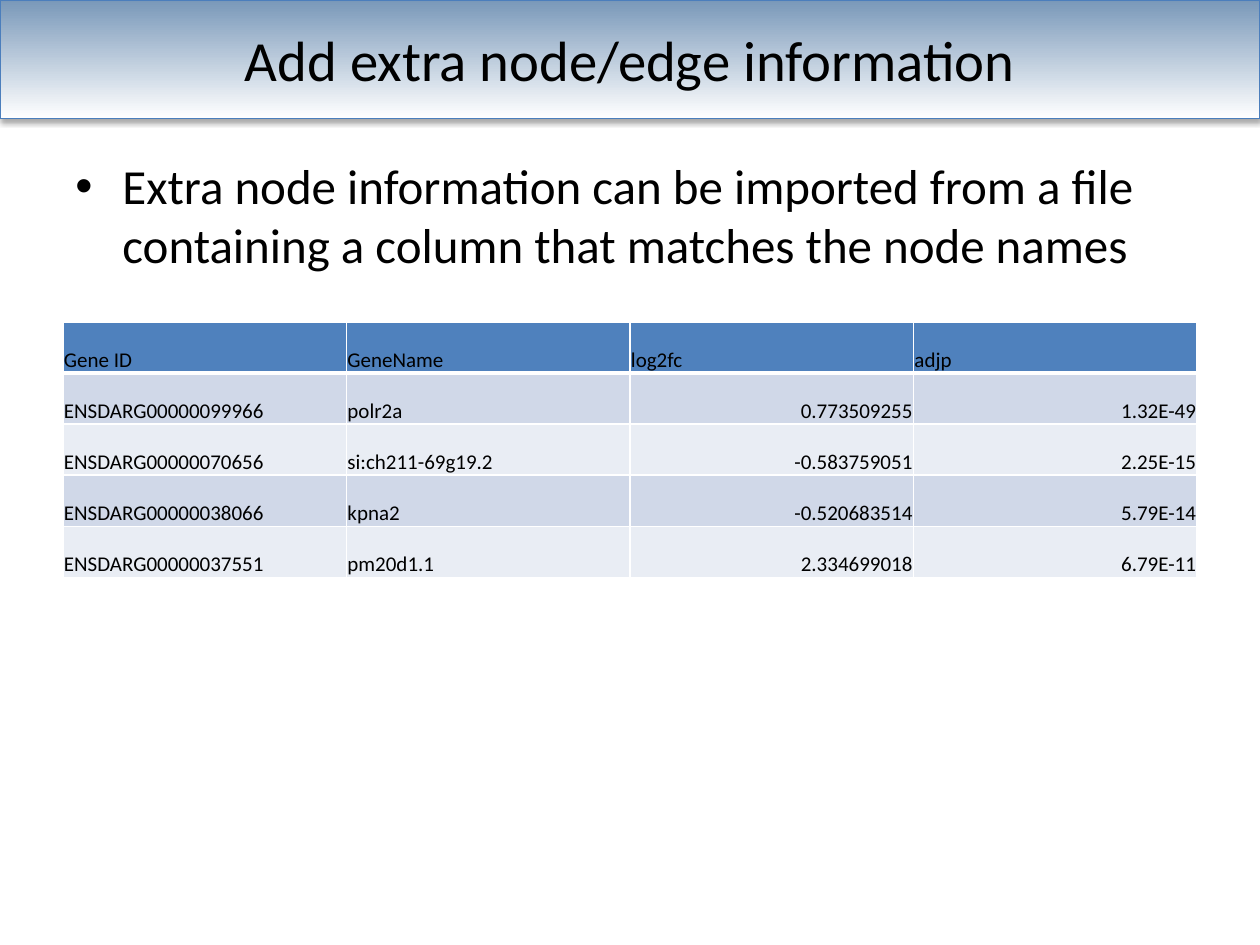
import pptx
import pptx.util
import pptx.dml.color
import pptx.enum.text
import pptx.enum.shapes
import pptx.oxml
import pptx.oxml.ns

Cm = pptx.util.Cm
Pt = pptx.util.Pt
Align = pptx.enum.text.PP_ALIGN
Anchor = pptx.enum.text.MSO_ANCHOR

TITLE = "Add extra node/edge information"
POINTS = [
    "Extra node information can be imported from a file "
    "containing a column that matches the node names",
]
GENES = [
    ("Gene ID", "GeneName", "log2fc", "adjp"),
    ("ENSDARG00000099966", "polr2a", "0.773509255", "1.32E-49"),
    ("ENSDARG00000070656", "si:ch211-69g19.2", "-0.583759051", "2.25E-15"),
    ("ENSDARG00000038066", "kpna2", "-0.520683514", "5.79E-14"),
    ("ENSDARG00000037551", "pm20d1.1", "2.334699018", "6.79E-11"),
]
THEME = {
    "font": "Calibri", "ink": "000000", "white": "FFFFFF",
    "band": "7998B9", "edge": "4B7EBC", "head": "4F81BD",
    "rows": ("E9EDF4", "D0D8E8"),
    "title": 32.4, "body": 28, "cell": 12,
}
WIDE, HIGH = Cm(25.4), Cm(19.05)
LEFT, SPAN = Cm(1.27), Cm(22.86)


def color(code):
    return pptx.dml.color.RGBColor.from_string(code)


def node(parent, body):
    parent.append(pptx.oxml.parse_xml(
        body.replace(" ", f" {pptx.oxml.ns.nsdecls('a')} ", 1)))


def write(frame, lines, size, align=Align.LEFT, anchor=Anchor.TOP, bullet=False):
    frame.word_wrap = True
    frame.vertical_anchor = anchor
    for i, line in enumerate(lines):
        para = frame.paragraphs[0] if i == 0 else frame.add_paragraph()
        if bullet:
            props = para._p.get_or_add_pPr()
            props.set("marL", str(Cm(0.95)))
            props.set("indent", str(-Cm(0.95)))
            node(props, '<a:buFont typeface="Arial"/>')
            node(props, '<a:buChar char="•"/>')
        para.alignment = align
        run = para.add_run()
        run.text = line
        run.font.size = Pt(size)
        run.font.name = THEME["font"]
        run.font.color.rgb = color(THEME["ink"])


def add_band(slide):
    band = slide.shapes.add_shape(
        pptx.enum.shapes.MSO_SHAPE.RECTANGLE, 0, 0, WIDE, Cm(2.39))
    band.fill.gradient()
    band.fill.gradient_angle = 270
    for stop, code in zip(band.fill.gradient_stops, (THEME["band"], THEME["white"])):
        stop.color.rgb = color(code)
    band.line.color.rgb = color(THEME["edge"])
    band.line.width = Pt(0.75)
    band.shadow.inherit = False
    effects = band._element.spPr.find(pptx.oxml.ns.qn("a:effectLst"))
    node(effects,
         f'<a:outerShdw blurRad="{Pt(3.1)}" dist="{Pt(1.8)}" dir="5400000" '
         'rotWithShape="0"><a:srgbClr val="000000"><a:alpha val="35000"/>'
         '</a:srgbClr></a:outerShdw>')
    slide.shapes._spTree.insert(2, band._element)


def add_title(slide):
    title = slide.shapes.title
    title.left, title.top, title.width, title.height = LEFT, Cm(0.38), SPAN, Cm(1.6)
    write(title.text_frame, [TITLE], THEME["title"], Align.CENTER, Anchor.MIDDLE)
    title.text_frame.auto_size = pptx.enum.text.MSO_AUTO_SIZE.NONE


def add_rules(cell, row):
    widths = {"L": 1, "R": 1, "T": 3 if row == 1 else 1, "B": 3 if row == 0 else 1}
    for side, width in widths.items():
        node(cell._tc.get_or_add_tcPr(),
             f'<a:ln{side} w="{Pt(width)}"><a:solidFill>'
             f'<a:srgbClr val="{THEME["white"]}"/></a:solidFill></a:ln{side}>')


def add_genes(slide):
    rows, cols = len(GENES), len(GENES[0])
    table = slide.shapes.add_table(
        rows, cols, LEFT, Cm(6.49), SPAN, Cm(1.03) * rows).table
    for r, record in enumerate(GENES):
        for c, text in enumerate(record):
            cell = table.cell(r, c)
            add_rules(cell, r)
            cell.fill.solid()
            cell.fill.fore_color.rgb = color(THEME["rows"][r % 2] if r else THEME["head"])
            cell.margin_left = cell.margin_right = cell.margin_top = Cm(0.02)
            cell.margin_bottom = 0
            write(cell.text_frame, [text], THEME["cell"],
                  Align.RIGHT if r and c > 1 else Align.LEFT)
            cell.vertical_anchor = Anchor.BOTTOM


def main():
    deck = pptx.Presentation()
    deck.slide_width, deck.slide_height = WIDE, HIGH
    slide = deck.slides.add_slide(deck.slide_layouts[5])
    add_band(slide)
    add_title(slide)
    body = slide.shapes.add_textbox(LEFT, Cm(3.02), SPAN, Cm(7.72))
    write(body.text_frame, POINTS, THEME["body"], bullet=True)
    add_genes(slide)
    deck.save("out.pptx")


if __name__ == "__main__":
    main()
